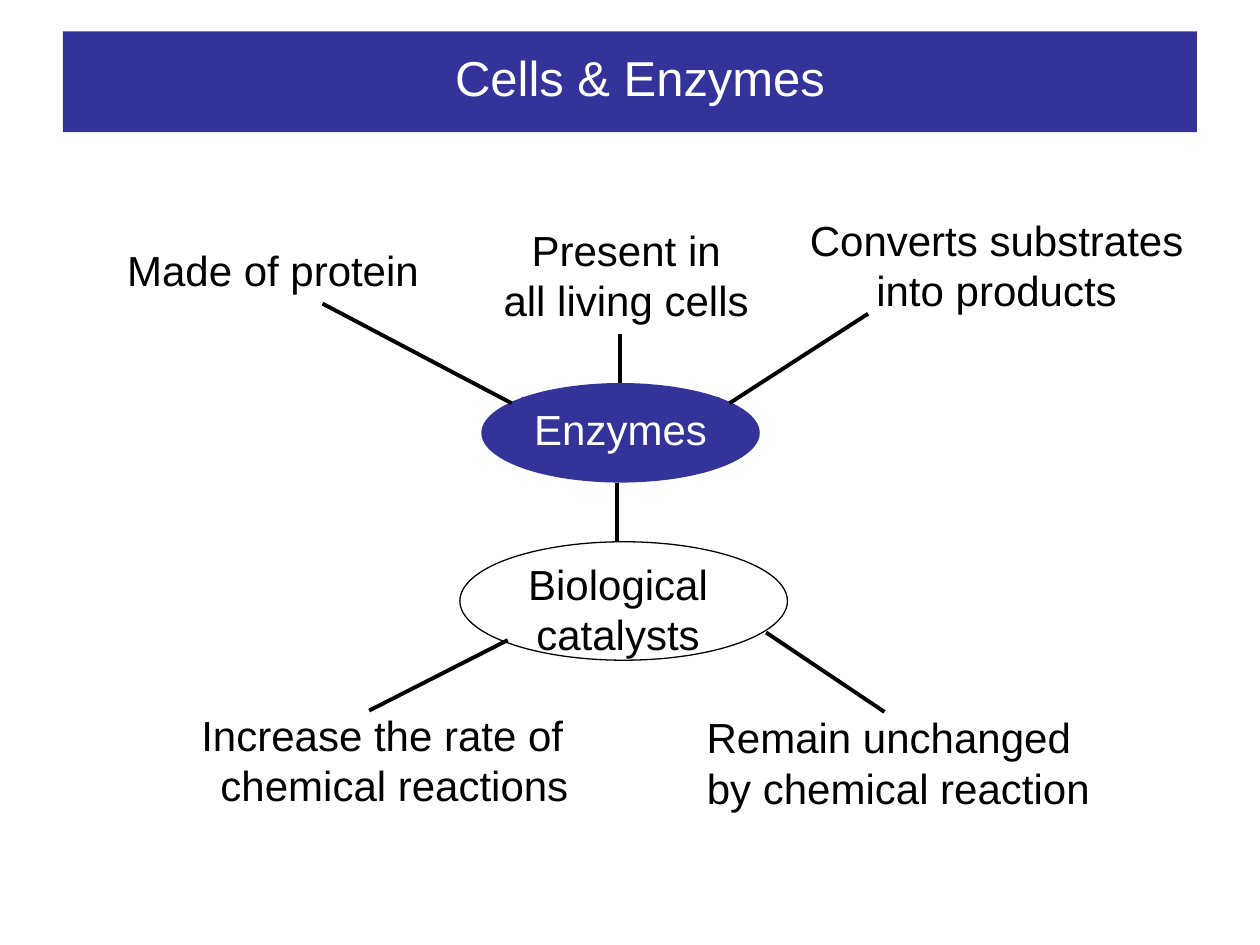
"""Build the "Cells & Enzymes" concept map slide."""
from dataclasses import dataclass
from typing import Any, Optional

import pptx
import pptx.dml.color
import pptx.enum.shapes
import pptx.enum.text
import pptx.oxml
import pptx.util

Inches = pptx.util.Inches
Color = pptx.dml.color.RGBColor
Align = pptx.enum.text.PP_ALIGN
Anchor = pptx.enum.text.MSO_ANCHOR
Shape = pptx.enum.shapes.MSO_SHAPE


@dataclass(frozen=True)
class Theme:
    font: str = "Arial"
    indigo: Color = Color(0x33, 0x33, 0x99)
    white: Color = Color(0xFF, 0xFF, 0xFF)
    black: Color = Color(0, 0, 0)
    title_size: int = 28
    label_size: int = 24
    outline: float = 0.75
    branch: float = 2.25


THEME = Theme()


@dataclass(frozen=True)
class Area:
    left: float
    top: float
    width: float
    height: float

    def lengths(self) -> list:
        return [Inches(v) for v in (self.left, self.top, self.width, self.height)]


@dataclass(frozen=True)
class Label:
    area: Area
    lines: tuple
    aligns: tuple = (Align.CENTER, Align.CENTER)
    wrap: bool = False
    color: Color = THEME.black
    fill: Optional[Color] = None


@dataclass(frozen=True)
class Branch:
    start: tuple
    end: tuple


BAR = Area(0.5, 0.25, 9, 0.8)
TITLE = Area(0.83, 0.33, 8.5, 0.56)
ENZYMES = Area(3.82, 3.04, 2.21, 0.79)
CATALYSTS = Area(3.65, 4.3, 2.6, 0.94)

LABELS = (
    Label(Area(4.14, 3.15, 1.57, 0.5), ("Enzymes",), color=THEME.white, fill=THEME.indigo),
    Label(Area(0.91, 1.89, 2.51, 0.5), ("Made of protein",), (Align.LEFT,)),
    Label(Area(3.9, 1.73, 2.14, 0.9), ("Present in", "all living cells")),
    Label(Area(6.33, 1.65, 3.16, 0.9), ("Converts substrates", "into products")),
    Label(Area(4.01, 4.38, 1.79, 0.9), ("Biological catalysts",), wrap=True),
    Label(Area(1.5, 5.58, 3.26, 0.9), ("Increase the rate of", "chemical reactions"),
          (Align.LEFT, Align.CENTER), wrap=True),
    Label(Area(5.51, 5.6, 3.24, 0.9), ("Remain unchanged", "by chemical reaction"),
          (Align.LEFT, Align.CENTER)),
)

BRANCHES = (
    Branch((2.56, 2.41), (4.06, 3.2)),
    Branch((4.92, 3.04), (4.92, 2.65)),
    Branch((5.79, 3.2), (6.89, 2.49)),
    Branch((4.9, 3.83), (4.9, 4.3)),
    Branch((2.93, 5.64), (4.03, 5.08)),
    Branch((6.08, 5.02), (7.02, 5.65)),
)


def apply(target: Any, values: dict) -> None:
    """Set each named attribute on the target."""
    for name, value in values.items():
        setattr(target, name, value)


def write(box: Any, lines: tuple, aligns: tuple, size: int, color: Color,
          wrap: bool, anchor: Any) -> None:
    """Fill a box with one formatted paragraph per line."""
    frame = box.text_frame
    apply(frame, {
        "word_wrap": wrap, "vertical_anchor": anchor,
        "auto_size": pptx.enum.text.MSO_AUTO_SIZE.NONE,
        "margin_left": Inches(0.1), "margin_right": Inches(0.1),
        "margin_top": Inches(0.05), "margin_bottom": Inches(0.05),
    })
    frame.text = "\n".join(lines)
    for para, align in zip(frame.paragraphs, aligns):
        para.alignment = align
        for span in para.runs:
            apply(span.font, {"name": THEME.font, "size": pptx.util.Pt(size)})
            span.font.color.rgb = color


def draw_shape(page: Any, kind: Any, area: Area, fill: Optional[Color] = None) -> None:
    """Draw a filled shape, or an outlined one when no fill is given."""
    shape = page.shapes.add_shape(kind, *area.lengths())
    shape.shadow.inherit = False
    if fill is None:
        shape.fill.background()
        shape.line.color.rgb = THEME.black
        shape.line.width = pptx.util.Pt(THEME.outline)
    else:
        shape.fill.solid()
        shape.fill.fore_color.rgb = fill
        shape.line.fill.background()


def draw_title(page: Any, text: str) -> None:
    """Place the title placeholder in front of its bar."""
    title = page.shapes.title
    apply(title, dict(zip(("left", "top", "width", "height"), TITLE.lengths())))
    write(title, (text,), (Align.CENTER,), THEME.title_size, THEME.white, True, Anchor.MIDDLE)
    title.element.getparent().append(title.element)


def draw_label(page: Any, label: Label) -> None:
    """Draw one text label."""
    box = page.shapes.add_textbox(*label.area.lengths())
    if label.fill is not None:
        box.fill.solid()
        box.fill.fore_color.rgb = label.fill
    write(box, label.lines, label.aligns, THEME.label_size, label.color, label.wrap, Anchor.TOP)


def draw_branch(page: Any, branch: Branch) -> None:
    """Draw one straight line between two points."""
    ends = [Inches(v) for v in branch.start + branch.end]
    line = page.shapes.add_connector(pptx.enum.shapes.MSO_CONNECTOR.STRAIGHT, *ends)
    line.line.color.rgb = THEME.black
    line.line.width = pptx.util.Pt(THEME.branch)
    effects = pptx.oxml.parse_xml(
        '<a:effectLst xmlns:a="http://schemas.openxmlformats.org/drawingml/2006/main"/>')
    line.element.spPr.append(effects)


def main() -> None:
    """Build and save the deck."""
    deck = pptx.Presentation()
    apply(deck, {"slide_width": Inches(10), "slide_height": Inches(7.5)})
    page = deck.slides.add_slide(deck.slide_layouts.get_by_name("Title Only"))
    draw_shape(page, Shape.RECTANGLE, BAR, THEME.indigo)
    draw_title(page, "Cells & Enzymes")
    draw_shape(page, Shape.OVAL, ENZYMES, THEME.indigo)
    draw_shape(page, Shape.OVAL, CATALYSTS)
    for label in LABELS:
        draw_label(page, label)
    for branch in BRANCHES:
        draw_branch(page, branch)
    deck.save("out.pptx")


if __name__ == "__main__":
    main()
